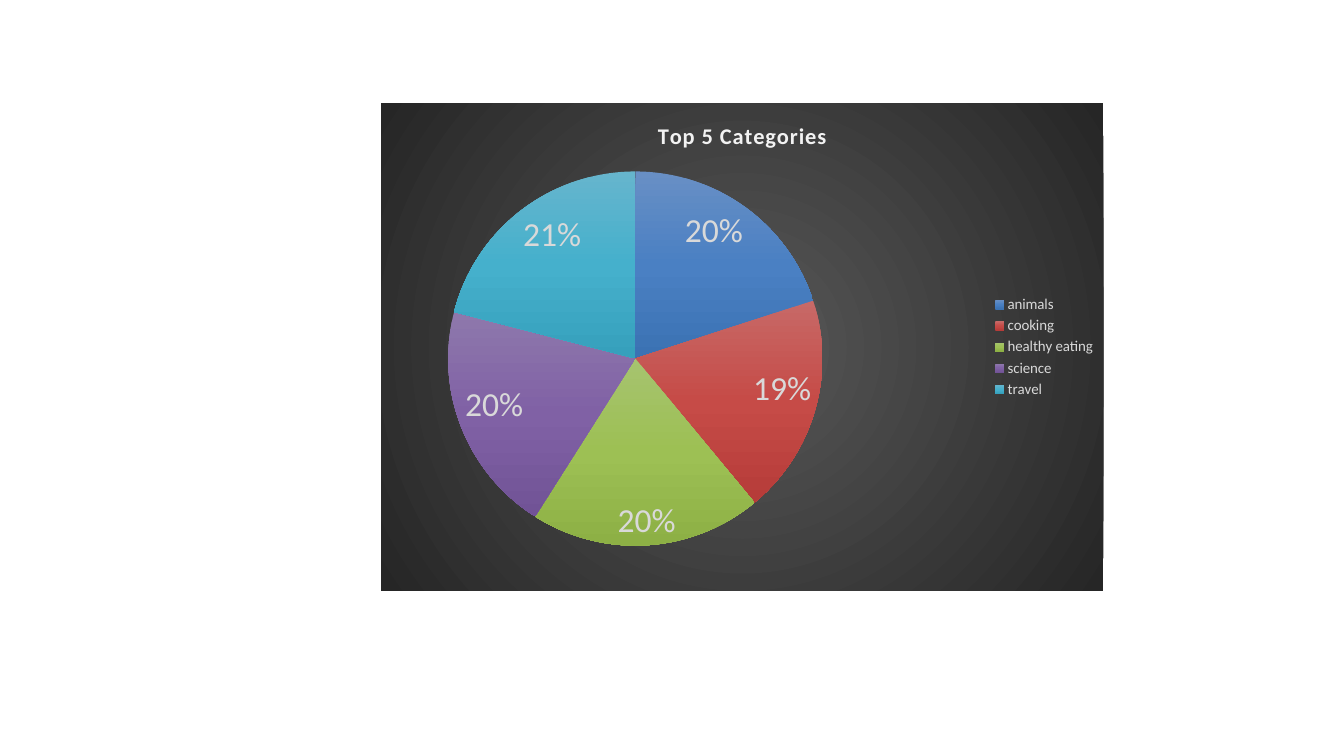
from pptx import Presentation
from pptx.chart.data import CategoryChartData
from pptx.dml.color import RGBColor
from pptx.enum.chart import XL_CHART_TYPE as ChartType
from pptx.enum.chart import XL_LABEL_POSITION as LabelPosition
from pptx.enum.chart import XL_LEGEND_POSITION as LegendPosition
from pptx.oxml import parse_xml
from pptx.oxml.ns import nsdecls
from pptx.util import Pt


def color(value):
    return RGBColor.from_string(value)


def gradient_properties(colors, direction):
    """Shape properties with evenly spaced gradient stops and no outline."""
    step = 100000 // (len(colors) - 1)
    stops = "".join(
        f'<a:gs pos="{index * step}"><a:srgbClr val="{value}"/></a:gs>'
        for index, value in enumerate(colors)
    )
    return parse_xml(
        f'<c:spPr {nsdecls("c", "a")}><a:gradFill rotWithShape="1">'
        f"<a:gsLst>{stops}</a:gsLst>{direction}</a:gradFill>"
        "<a:ln><a:noFill/></a:ln></c:spPr>"
    )


DOWNWARD = '<a:lin ang="5400000" scaled="0"/>'
FROM_CENTER = (
    '<a:path path="circle">'
    '<a:fillToRect l="50000" t="50000" r="50000" b="50000"/></a:path>'
)

# Category, share in percent, slice gradient
categories = [
    ("animals", 20, ["688FC5", "4A80C3", "3B72B3"]),
    ("cooking", 19, ["C76967", "C64B47", "B63C39"]),
    ("healthy eating", 20, ["A6C36F", "9DC054", "8DB045"]),
    ("science", 20, ["8E78AC", "8061A5", "715396"]),
    ("travel", 21, ["66B5CD", "45B0CC", "36A0BC"]),
]

presentation = Presentation()
presentation.slide_width = Pt(1440)
presentation.slide_height = Pt(810)
slide = presentation.slides.add_slide(presentation.slide_layouts[6])

# Pie chart
data = CategoryChartData()
data.categories = [name for name, share, colors in categories]
data.add_series("Series 1", [share for name, share, colors in categories])
chart = slide.shapes.add_chart(
    ChartType.PIE, Pt(408.24), Pt(110.88), Pt(774), Pt(522), data
).chart
plot = chart.plots[0]
plot.vary_by_categories = True

# Title
chart.has_title = True
title_frame = chart.chart_title.text_frame
title_frame.text = "Top 5 Categories"
title_run = title_frame.paragraphs[0].runs[0]
title_run._r.get_or_add_rPr().set("spc", "100")
chart.chart_title.include_in_layout = False

# Legend
chart.has_legend = True
chart.legend.position = LegendPosition.RIGHT
chart.legend.include_in_layout = False

# Percentages at the inner edge of the slices
plot.has_data_labels = True
labels = plot.data_labels
label_format = {
    "show_percentage": True,
    "show_value": False,
    "number_format": "0%",
    "number_format_is_linked": False,
    "position": LabelPosition.INSIDE_END,
}
for attribute, value in label_format.items():
    setattr(labels, attribute, value)

# Fonts
fonts = [
    (chart.font, 10, "000000", False),
    (title_run.font, 24, "F2F2F2", True),
    (chart.legend.font, 16, "D9D9D9", False),
    (labels.font, 36, "D9D9D9", False),
]
for font, size, text_color, bold in fonts:
    for attribute, value in {"name": "Calibri", "size": Pt(size), "bold": bold}.items():
        setattr(font, attribute, value)
    font.color.rgb = color(text_color)

# Slice gradients
series = plot.series[0]
for index, (name, share, colors) in enumerate(categories):
    series.points[index].format.fill.background()
    properties = series._element.xpath("c:dPt/c:spPr")[index]
    properties.getparent().replace(properties, gradient_properties(colors, DOWNWARD))

# Dark backdrop
chart_space = chart._chartSpace
chart_space.xpath("c:chart")[0].addnext(
    gradient_properties(["595959", "262626"], FROM_CENTER)
)

# Plot area placement, as fractions of the chart
plot_area = chart_space.xpath("c:chart/c:plotArea")[0]
for layout in plot_area.xpath("c:layout"):
    plot_area.remove(layout)
placement = "".join(
    f'<c:{tag} val="{value}"/>'
    for tag, value in [
        ("layoutTarget", "inner"), ("xMode", "edge"), ("yMode", "edge"),
        ("x", 0.093), ("y", 0.139), ("w", 0.518), ("h", 0.769),
    ]
)
plot_area.insert(0, parse_xml(
    f'<c:layout {nsdecls("c")}><c:manualLayout>{placement}</c:manualLayout></c:layout>'
))

presentation.save("out.pptx")
